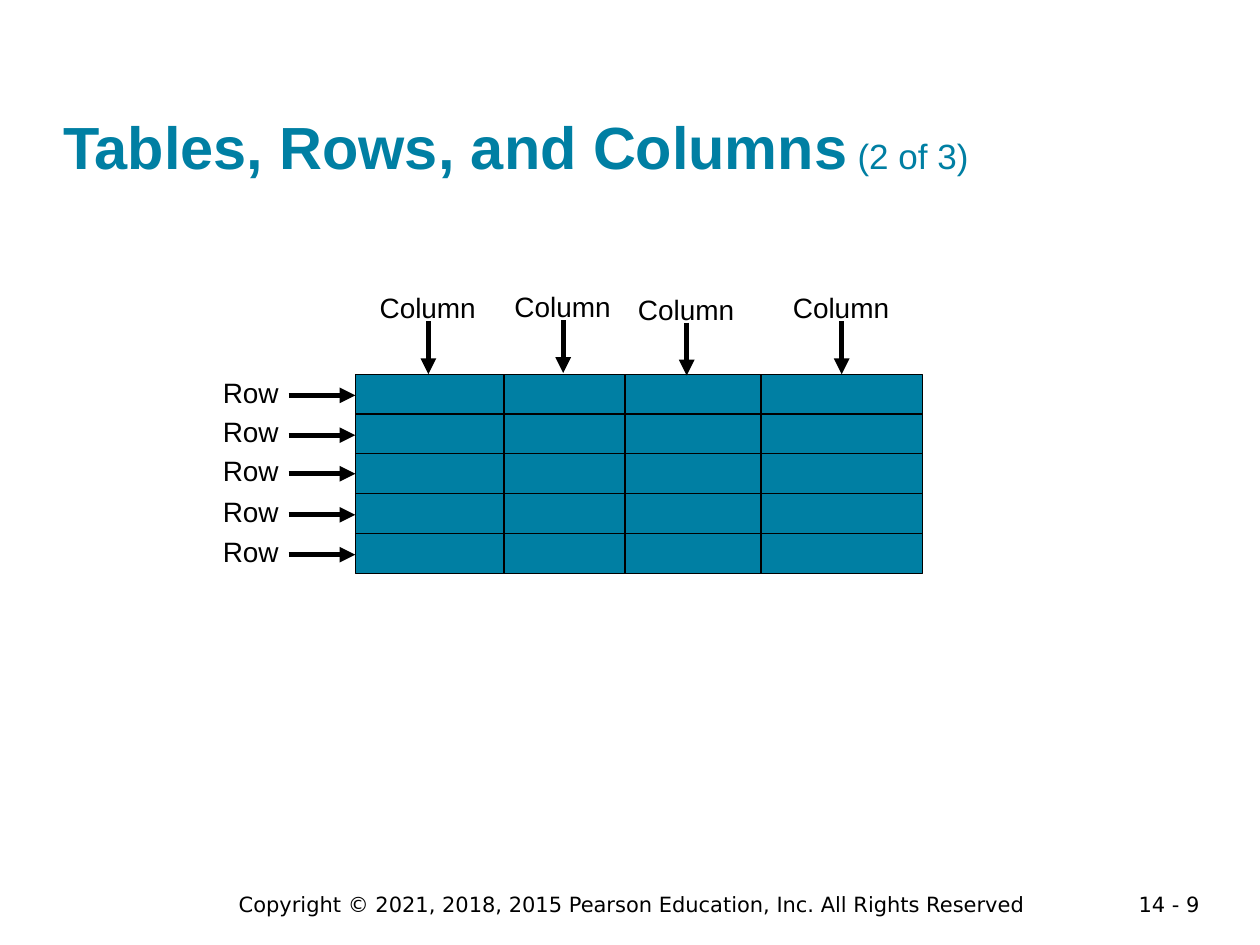
import pptx
import pptx.util
import pptx.dml.color
import pptx.enum.shapes
import pptx.enum.text
import pptx.oxml.ns
import lxml.etree

Inches = pptx.util.Inches
Pt = pptx.util.Pt
Align = pptx.enum.text.PP_ALIGN
AutoSize = pptx.enum.text.MSO_AUTO_SIZE

TEAL = pptx.dml.color.RGBColor(0x00, 0x7F, 0xA3)
BLACK = pptx.dml.color.RGBColor(0x00, 0x00, 0x00)

GRID_LEFT, GRID_TOP = 2.82, 2.97
GRID_WIDTH, GRID_HEIGHT = 4.5, 1.58
GRID_RIGHT, GRID_BOTTOM = GRID_LEFT + GRID_WIDTH, GRID_TOP + GRID_HEIGHT
ROW_COUNT = 5
ROW_HEIGHT = GRID_HEIGHT / ROW_COUNT
COLUMN_EDGES = (4, 4.96, 6.04)
COLUMN_ARROWS = ((3.4, 2.97), (4.47, 2.96), (5.45, 2.98), (6.68, 2.97))  # tips
ROW_ARROW_LENGTH, COLUMN_ARROW_LENGTH = 0.53, 0.42
LABEL_HEIGHT = 0.37


def set_attributes(target, values):
    for name, value in values.items():
        setattr(target, name, value)


def add_run(paragraph, text, size, font="Arial", color=BLACK, bold=False):
    run = paragraph.add_run()
    run.text = text
    set_attributes(run.font, {"name": font, "size": Pt(size), "bold": bold})
    run.font.color.rgb = color


def add_text(slide, text, box, size=16, font="Arial", align=Align.LEFT, wrap=False):
    shape = slide.shapes.add_textbox(*map(Inches, box))
    set_attributes(shape.text_frame, {"word_wrap": wrap, "auto_size": AutoSize.NONE})
    paragraph = shape.text_frame.paragraphs[0]
    paragraph.alignment = align
    add_run(paragraph, text, size, font)


def add_line(slide, start, end, width=0.75, arrow=False):
    line = slide.shapes.add_connector(
        pptx.enum.shapes.MSO_CONNECTOR.STRAIGHT, *map(Inches, start + end))
    line.line.color.rgb = BLACK
    line.line.width = Pt(width)
    if arrow:
        lxml.etree.SubElement(line.line._get_or_add_ln(),
                              pptx.oxml.ns.qn("a:tailEnd"), type="triangle")
    lxml.etree.SubElement(line._element.spPr, pptx.oxml.ns.qn("a:effectLst"))
    return line


def add_title(slide):
    title = slide.shapes.title
    set_attributes(title, {"left": Inches(0.5), "top": Inches(0.24),
                           "width": Inches(9), "height": Inches(1.2)})
    set_attributes(title.text_frame, {
        "margin_left": 0, "margin_top": 0, "margin_right": 0, "margin_bottom": 0,
        "word_wrap": True, "auto_size": AutoSize.NONE,
        "vertical_anchor": pptx.enum.text.MSO_ANCHOR.BOTTOM})
    paragraph = title.text_frame.paragraphs[0]
    paragraph.alignment = Align.LEFT
    add_run(paragraph, "Tables, Rows, and Columns", 34, color=TEAL, bold=True)
    add_run(paragraph, " (2 of 3)", 20, color=TEAL)


def add_grid(slide):
    grid = slide.shapes.add_shape(
        pptx.enum.shapes.MSO_SHAPE.RECTANGLE,
        *map(Inches, (GRID_LEFT, GRID_TOP, GRID_WIDTH, GRID_HEIGHT)))
    grid.shadow.inherit = False
    grid.fill.solid()
    grid.fill.fore_color.rgb = TEAL
    grid.line.color.rgb = BLACK
    grid.line.width = Pt(0.75)
    for row in range(1, ROW_COUNT):
        y = GRID_TOP + row * ROW_HEIGHT
        add_line(slide, (GRID_LEFT, y), (GRID_RIGHT, y))
    for x in COLUMN_EDGES:
        add_line(slide, (x, GRID_TOP), (x, GRID_BOTTOM))
    return grid


def add_row_labels(slide, grid):
    for row in range(ROW_COUNT):
        y = GRID_TOP + (row + 0.5) * ROW_HEIGHT + 0.01
        if row == ROW_COUNT // 2:
            y = GRID_TOP + GRID_HEIGHT / 2
        add_text(slide, "Row", (1.67, y - 0.21, 0.65, LABEL_HEIGHT))
        arrow = add_line(slide, (GRID_LEFT - ROW_ARROW_LENGTH, y), (GRID_LEFT, y),
                         width=3, arrow=True)
        if row == ROW_COUNT // 2:
            arrow.end_connect(grid, 1)


def add_column_labels(slide):
    for x, tip in COLUMN_ARROWS:
        start = tip - COLUMN_ARROW_LENGTH
        add_line(slide, (x, start), (x, tip), width=3, arrow=True)
        add_text(slide, "Column", (x - 0.485, start - 0.29, 0.97, LABEL_HEIGHT))


def add_footer(slide):
    add_text(slide, "14 - 9", (8.62, 7.03, 1, 0.22), 12, "DejaVu Sans",
             Align.RIGHT, wrap=True)
    add_text(slide,
             "Copyright © 2021, 2018, 2015 Pearson Education, Inc. All Rights Reserved",
             (1.64, 7.03, 6.75, 0.3), 12, "DejaVu Sans", Align.CENTER, wrap=True)


def main():
    presentation = pptx.Presentation()
    presentation.slide_width = Inches(10)
    presentation.slide_height = Inches(7.5)
    slide = presentation.slides.add_slide(presentation.slide_layouts[5])
    add_footer(slide)
    add_title(slide)
    grid = add_grid(slide)
    add_row_labels(slide, grid)
    add_column_labels(slide)
    presentation.save("out.pptx")


if __name__ == "__main__":
    main()
